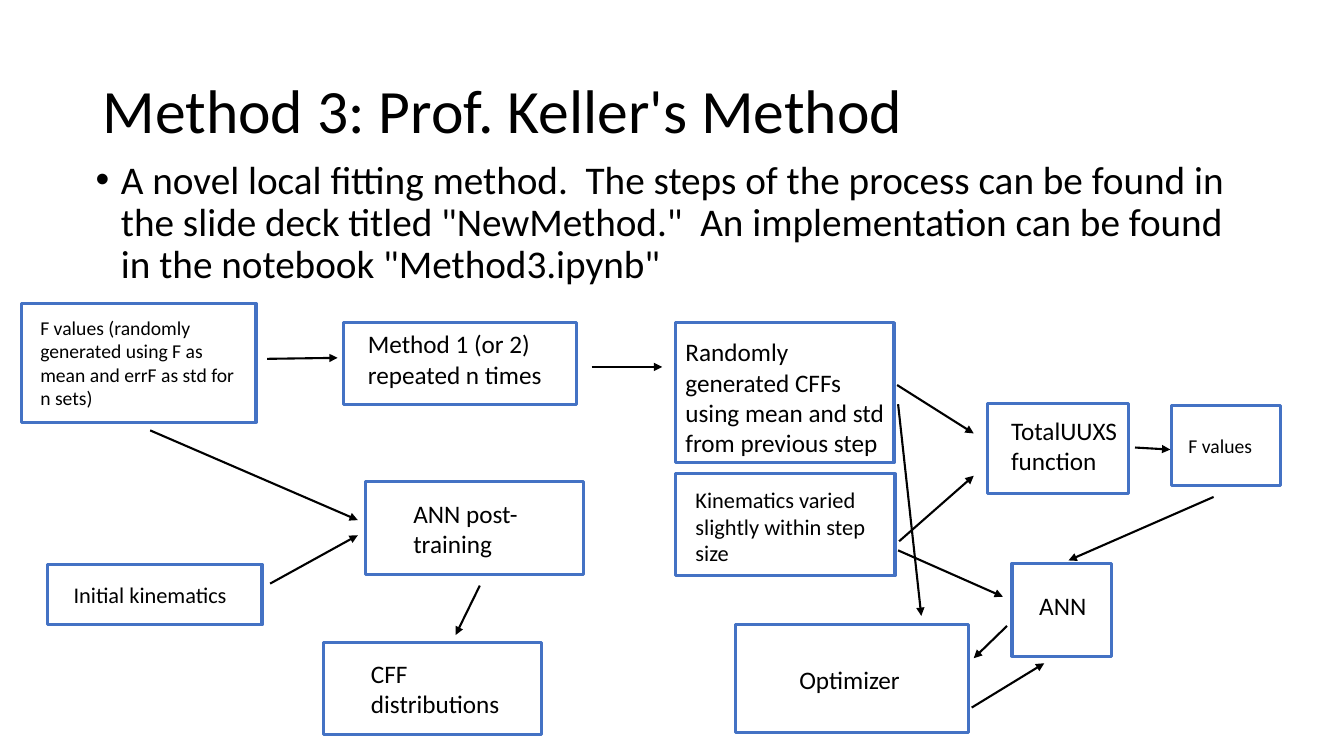
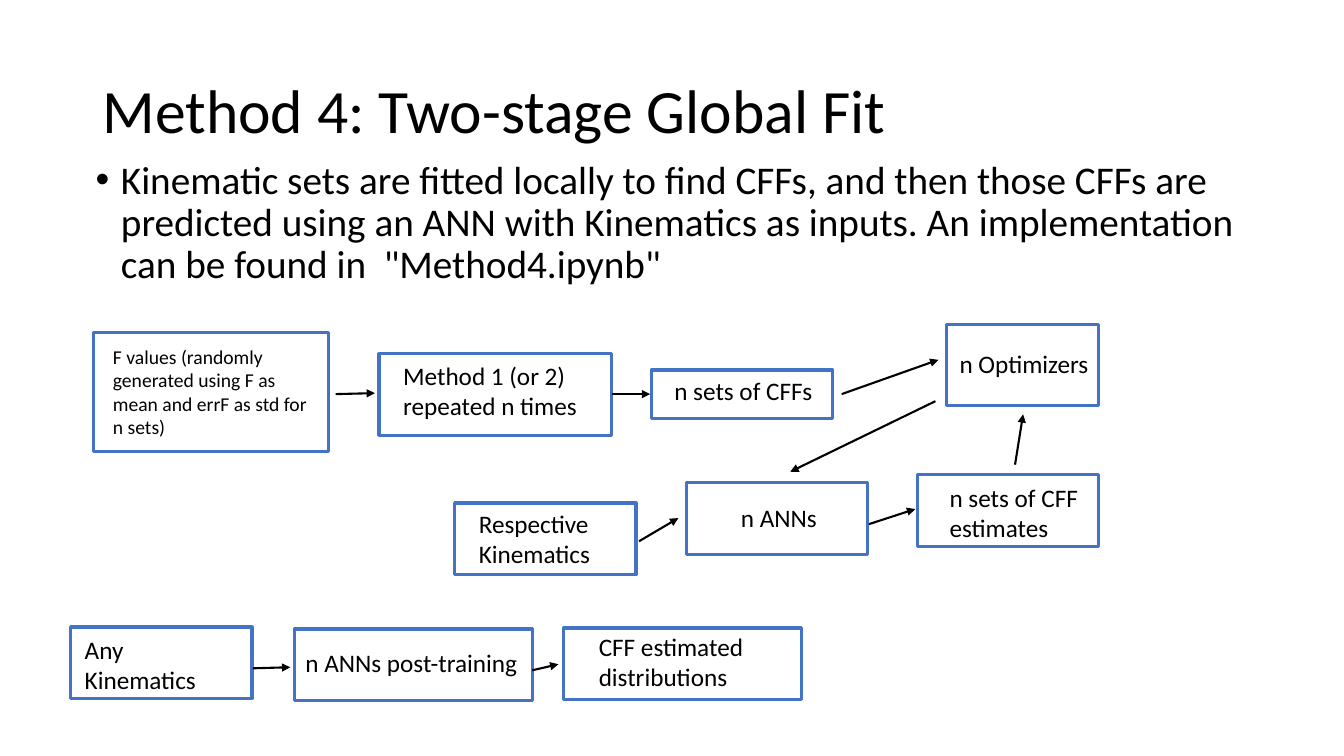
from dataclasses import dataclass, replace

from pptx import Presentation
from pptx.dml.color import RGBColor
from pptx.enum import shapes, text
from pptx.oxml.ns import qn
from pptx.util import Emu, Inches, Pt
from lxml import etree

BLUE = RGBColor(0x44, 0x72, 0xC4)
BLACK = RGBColor(0, 0, 0)
WHITE = RGBColor(255, 255, 255)
FONT = "Calibri"
COLUMNS, ROWS = 40, 30

prs = Presentation()
prs.slide_width, prs.slide_height = Inches(13.33), Inches(7.5)


def col(n: float) -> Emu:
    return Emu(round(prs.slide_width * n / COLUMNS))


def row(n: float) -> Emu:
    return Emu(round(prs.slide_height * n / ROWS))


@dataclass(frozen=True)
class Inset:
    left: float
    top: float
    right: float = 0.3


@dataclass(frozen=True)
class Box:
    label: str
    x: float
    y: float
    w: float
    h: float
    inset: Inset
    size: int = 18


@dataclass(frozen=True)
class Arrow:
    x1: float
    y1: float
    x2: float
    y2: float


@dataclass(frozen=True)
class Page:
    title: str
    body: str
    boxes: list[Box]
    arrows: list[Arrow]


def style(p, size: int) -> None:
    p.alignment = text.PP_ALIGN.LEFT
    p.font.name = FONT
    p.font.size = Pt(size)
    p.font.color.rgb = BLACK


def fill_placeholder(sp, label: str, size: int, x: float, y: float,
                     w: float, h: float):
    sp.left, sp.top, sp.width, sp.height = col(x), row(y), col(w), row(h)
    tf = sp.text_frame
    tf.text = label
    tf.auto_size = text.MSO_AUTO_SIZE.NONE
    p = tf.paragraphs[0]
    p.line_spacing = 0.9
    style(p, size)
    return p


def draw_box(s, box: Box) -> None:
    sp = s.shapes.add_shape(shapes.MSO_SHAPE.RECTANGLE, col(box.x), row(box.y),
                            col(box.w), row(box.h))
    sp.shadow.inherit = False
    sp.fill.solid()
    sp.fill.fore_color.rgb = WHITE
    sp.line.color.rgb = BLUE
    sp.line.width = Pt(2.25)
    tf = sp.text_frame
    tf.word_wrap = True
    tf.vertical_anchor = text.MSO_ANCHOR.TOP
    tf.margin_left, tf.margin_right = col(box.inset.left), col(box.inset.right)
    tf.margin_top, tf.margin_bottom = row(box.inset.top), 0
    tf.text = box.label
    style(tf.paragraphs[0], box.size)


def draw_arrow(s, arrow: Arrow) -> None:
    line = s.shapes.add_connector(shapes.MSO_CONNECTOR.STRAIGHT, col(arrow.x1),
                                  row(arrow.y1), col(arrow.x2), row(arrow.y2))
    line.line.color.rgb = BLACK
    line.line.width = Pt(1.5)
    props = line._element.spPr
    etree.SubElement(props.get_or_add_ln(), qn("a:tailEnd"), type="triangle")
    etree.SubElement(props, qn("a:effectLst"))


def draw_page(page: Page) -> None:
    s = prs.slides.add_slide(prs.slide_layouts[1])
    title, body = s.placeholders
    fill_placeholder(title, page.title, 44, 2.75, 1.6, 34.5, 5.8)
    title.text_frame.vertical_anchor = text.MSO_ANCHOR.MIDDLE
    p = fill_placeholder(body, page.body, 28, 2.55, 6.16, 34.5, 19.04)
    p.space_before = Pt(10)
    props = p._p.get_or_add_pPr()
    props.set("marL", str(Inches(0.25)))
    props.set("indent", str(-Inches(0.25)))
    for box in page.boxes:
        draw_box(s, box)
    for arrow in page.arrows:
        draw_arrow(s, arrow)


f_sets = Box("F values (randomly generated using F as mean and errF as std for n sets)",
             0.63, 12.04, 6.99, 4.72, Inset(0.57, 0.48, 0.54), 14)
repeats = Box("Method 1 (or 2) repeated n times",
              10.23, 12.8, 6.93, 3.24, Inset(0.72, 0.24, 0.81))
trained = Box("ANN post-training", 10.89, 19.12, 6.48, 3.68, Inset(1.41, 0.64, 0.81))
n_anns = Box("n\u00a0ANNs", 20.43, 19.16, 5.4, 2.84, Inset(1.62, 0.76))
n_trained = Box("n\u00a0ANNs post-training", 8.76, 24.96, 7.08, 2.84, Inset(0.33, 0.72))

PAGES = [
    Page(
        "Method 3: Prof. Keller's Method",
        "A novel local fitting method.\u00a0 The steps of the process can be found in "
        "the slide deck titled \"NewMethod.\"\u00a0 An implementation can be found in "
        "the notebook \"Method3.ipynb\"",
        [
            f_sets,
            repeats,
            trained,
            replace(trained, label="CFF distributions", x=9.63, y=25.48),
            Box("Initial kinematics", 1.41, 22.4, 6.39, 2.4, Inset(0.78, 0.68), 16),
            Box("Randomly generated CFFs using mean and std from previous step",
                20.1, 12.8, 6.51, 5.56, Inset(0.3, 0.56, 0.2)),
            Box("Kinematics varied slightly within step size",
                20.1, 18.8, 6.54, 4.04, Inset(0.6, 0.48, 0.63), 16),
            Box("TotalUUXS function", 29.4, 16, 4.2, 3.6, Inset(0.69, 0.48, 0.15)),
            Box("F values", 34.86, 16.08, 3.24, 3.2, Inset(0.51, 1.12, 0.6), 14),
            Box("ANN", 30.12, 22.36, 2.97, 3.68, Inset(0.81, 1.08, 0.54)),
            Box("Optimizer", 21.9, 24.8, 6.93, 4.28, Inset(1.89, 1.56, 1.47)),
        ],
        [
            Arrow(7.95, 14.24, 10.05, 14.2),
            Arrow(17.61, 14.56, 19.71, 14.56),
            Arrow(4.47, 17.08, 10.65, 20.64),
            Arrow(8.04, 23.16, 10.65, 21.24),
            Arrow(14.28, 23.24, 13.56, 25.2),
            Arrow(26.7, 15.28, 28.98, 17.2),
            Arrow(26.76, 21.48, 28.98, 18.88),
            Arrow(26.73, 16.04, 27.42, 24.44),
            Arrow(26.73, 21.84, 29.85, 23.68),
            Arrow(33.78, 17.76, 34.83, 17.84),
            Arrow(36.12, 19.72, 31.8, 22.24),
            Arrow(29.97, 24.84, 28.98, 26.12),
            Arrow(28.92, 28.08, 31.08, 26.32),
        ],
    ),
    Page(
        "Method 4: Two-stage Global Fit",
        "Kinematic sets are fitted locally to find CFFs, and then those CFFs are "
        "predicted using an ANN with Kinematics as inputs. An implementation can be "
        "found in\u00a0 \"Method4.ipynb\"",
        [
            replace(f_sets, x=2.79, y=13.2),
            replace(repeats, x=11.28, y=14.04),
            Box("n sets of CFFs", 19.38, 14.68, 5.4, 1.92, Inset(0.69, 0.2)),
            Box("n\u00a0Optimizers", 28.17, 12.88, 4.53, 3.2, Inset(0.39, 0.96, 0)),
            n_anns,
            replace(n_anns, label="Respective Kinematics", x=13.53, y=19.96,
                    inset=Inset(0.72, 0.2)),
            replace(n_anns, label="n sets of CFF estimates", x=27.3, y=18.84,
                    inset=Inset(0.96, 0.28, 0)),
            replace(n_anns, label="Any Kinematics", x=2.1, y=24.88,
                    inset=Inset(0.42, 0.28, 0.5)),
            n_trained,
            replace(n_trained, label="CFF estimated distributions", x=16.77, y=24.92,
                    inset=Inset(1.05, 0.12, 0.93)),
        ],
        [
            Arrow(9.99, 15.64, 11.16, 15.6),
            Arrow(18.21, 15.64, 19.35, 15.64),
            Arrow(25.05, 15.64, 27.93, 14.28),
            Arrow(27.84, 15.92, 23.52, 18.72),
            Arrow(19.02, 21.48, 20.19, 20.56),
            Arrow(25.86, 20.8, 27.24, 20.2),
            Arrow(30.21, 18.44, 30.45, 16.44),
            Arrow(7.53, 26.52, 8.64, 26.48),
            Arrow(15.84, 26.6, 16.62, 26.36),
        ],
    ),
]

for page in PAGES:
    draw_page(page)
prs.save("out.pptx")
